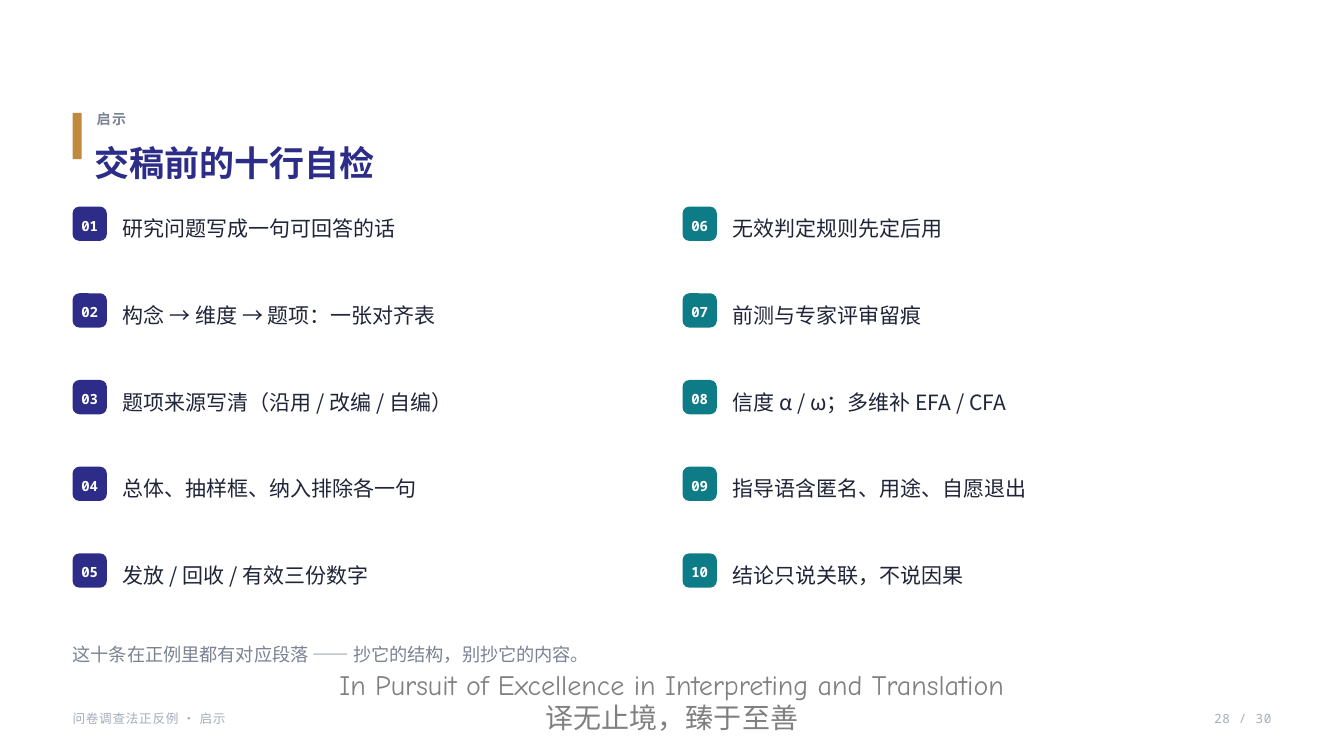
from pptx import Presentation
from pptx.dml.color import RGBColor
from pptx.enum.shapes import MSO_SHAPE as Shape
from pptx.enum.text import MSO_ANCHOR as Anchor, MSO_AUTO_SIZE as Fit, PP_ALIGN as Align
from pptx.util import Inches, Pt
from lxml.etree import SubElement
from pptx.oxml.ns import qn

# Content
TAG = "启示"
TITLE = "交稿前的十行自检"
CHECKS = [
    ("2D2D89", ["研究问题写成一句可回答的话", "构念 → 维度 → 题项：一张对齐表",
                "题项来源写清（沿用 / 改编 / 自编）", "总体、抽样框、纳入排除各一句",
                "发放 / 回收 / 有效三份数字"]),
    ("0E7C86", ["无效判定规则先定后用", "前测与专家评审留痕",
                "信度 α / ω；多维补 EFA / CFA", "指导语含匿名、用途、自愿退出",
                "结论只说关联，不说因果"]),
]
NOTE = "这十条在正例里都有对应段落 —— 抄它的结构，别抄它的内容。"
MOTTO = [("In Pursuit of Excellence in Interpreting and Translation", "Comic Neue"),
         ("译无止境，臻于至善", "Noto Sans CJK SC")]
FOOT = "问卷调查法正反例 · 启示"
PAGE = "28 / 30"

# Grid, in inches
WIDE, HIGH = 13.33, 7.5
LEFT, TOP = 0.72, 2.05
COL, ROW = 6.05, 0.86
BADGE = 0.34

SANS, MONO = "Noto Sans CJK SC", "Noto Sans Mono"
INK, GRAY, PALE = "1F2438", "7A8293", "A5ACBA"


def color(code):
    return RGBColor.from_string(code)


def place(shape, x, y, w, h):
    shape.left, shape.top = Inches(x), Inches(y)
    shape.width, shape.height = Inches(w), Inches(h)


def write(para, text, size, tint, face=SANS, bold=False, gap=0, align=Align.LEFT, lead=1.2):
    para.alignment, para.line_spacing = align, lead
    run = para.add_run()
    run.text = text
    font = run.font
    font.size, font.bold, font.name = Pt(size), bold, face
    font.color.rgb = color(tint)
    props = run._r.get_or_add_rPr()
    SubElement(props, qn("a:ea")).set("typeface", face)
    if gap:
        props.set("spc", str(int(gap * 100)))


def trim(shape, anchor=Anchor.TOP):
    frame = shape.text_frame
    frame.word_wrap, frame.auto_size = True, Fit.NONE
    frame.vertical_anchor = anchor
    frame.margin_left = frame.margin_right = frame.margin_top = frame.margin_bottom = 0
    return frame.paragraphs[0]


def label(x, y, w, h, text, size, tint, **style):
    box = slide.shapes.add_textbox(Inches(x), Inches(y), Inches(w), Inches(h))
    write(trim(box), text, size, tint, **style)


def block(kind, x, y, w, h, fill):
    shape = slide.shapes.add_shape(kind, Inches(x), Inches(y), Inches(w), Inches(h))
    shape.shadow.inherit = False
    shape.fill.solid()
    shape.fill.fore_color.rgb = color(fill)
    shape.line.fill.background()
    return shape


deck = Presentation()
deck.slide_width, deck.slide_height = Inches(WIDE), Inches(HIGH)
slide = deck.slides.add_slide(deck.slide_layouts[5])

# Motto across the foot
motto = slide.shapes.add_textbox(0, Inches(6.57), Inches(WIDE), Inches(0.77)).text_frame
motto.word_wrap = True
for i, (text, face) in enumerate(MOTTO):
    para = motto.add_paragraph() if i else motto.paragraphs[0]
    write(para, text, 20, "808080", face=face, align=Align.CENTER, lead=1.0)

# Heading
block(Shape.RECTANGLE, LEFT, 1.12, 0.09, 0.46, "C08A3E")
label(0.96, 1.06, 11, 0.26, TAG, 10, GRAY, bold=True, gap=1.1)
title = slide.shapes.title
place(title, 0.94, 1.36, 11.4, 0.66)
write(trim(title), TITLE, 25, "2D2D89", bold=True, lead=1.1)

# Numbered checks in two columns
for c, (fill, items) in enumerate(CHECKS):
    for r, text in enumerate(items):
        x, y = LEFT + c * COL, TOP + r * ROW
        badge = block(Shape.ROUNDED_RECTANGLE, x, y, BADGE, BADGE, fill)
        badge.adjustments[0] = 0.2
        number = c * len(items) + r + 1
        write(trim(badge, Anchor.MIDDLE), f"{number:02d}", 10, "FFFFFF",
              face=MONO, bold=True, align=Align.CENTER)
        label(x + 0.5, y + 0.03, 5.5, 0.4, text, 15, INK, lead=1.25)

# Note and footer
label(LEFT, 6.3, 11.9, 0.4, NOTE, 13, GRAY, lead=1.4)
label(LEFT, 7.02, 9, 0.24, FOOT, 9, PALE, gap=0.5)
label(9, 7.02, 3.61, 0.24, PAGE, 9, PALE, face=MONO, gap=0.5, align=Align.RIGHT)

deck.save("out.pptx")
